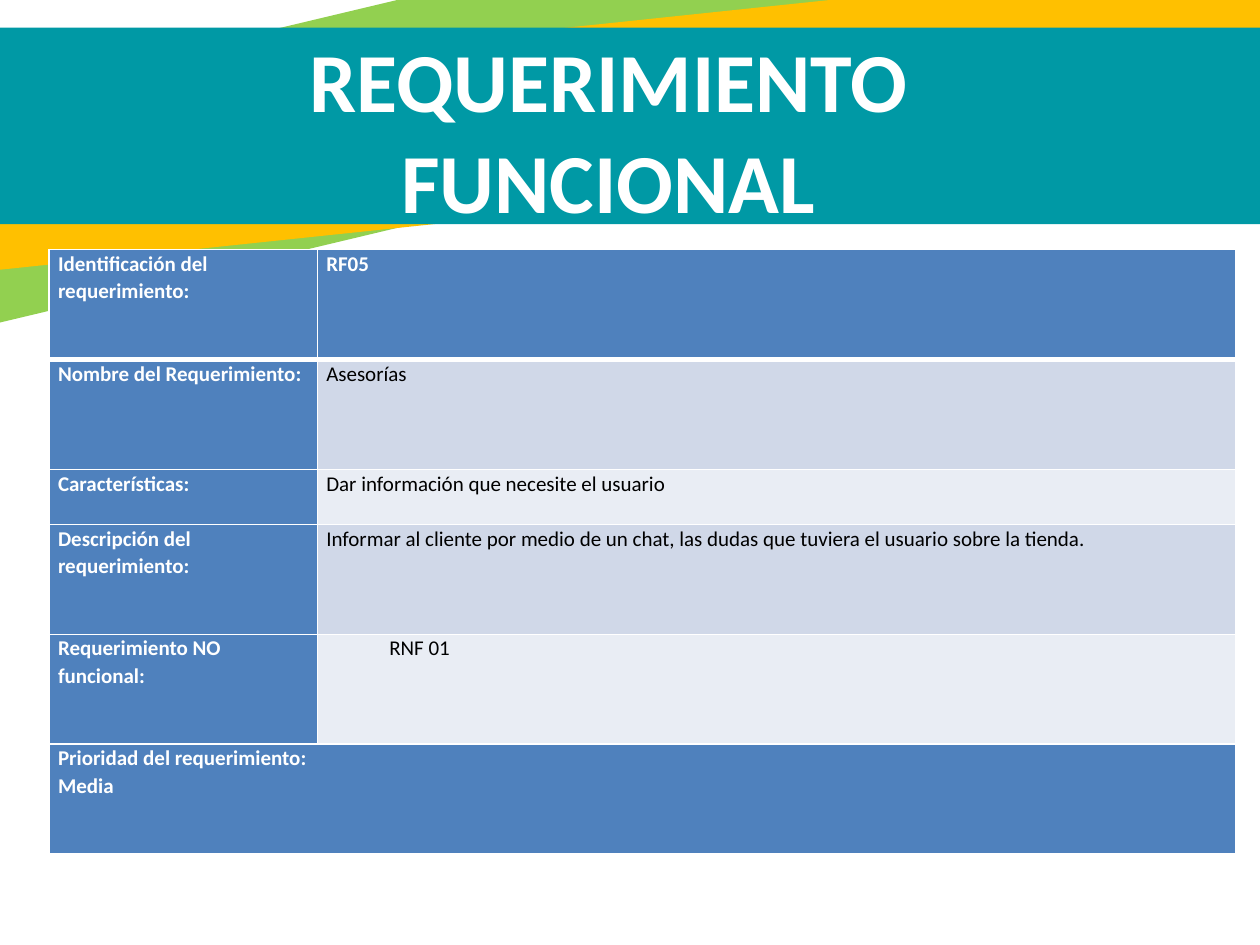
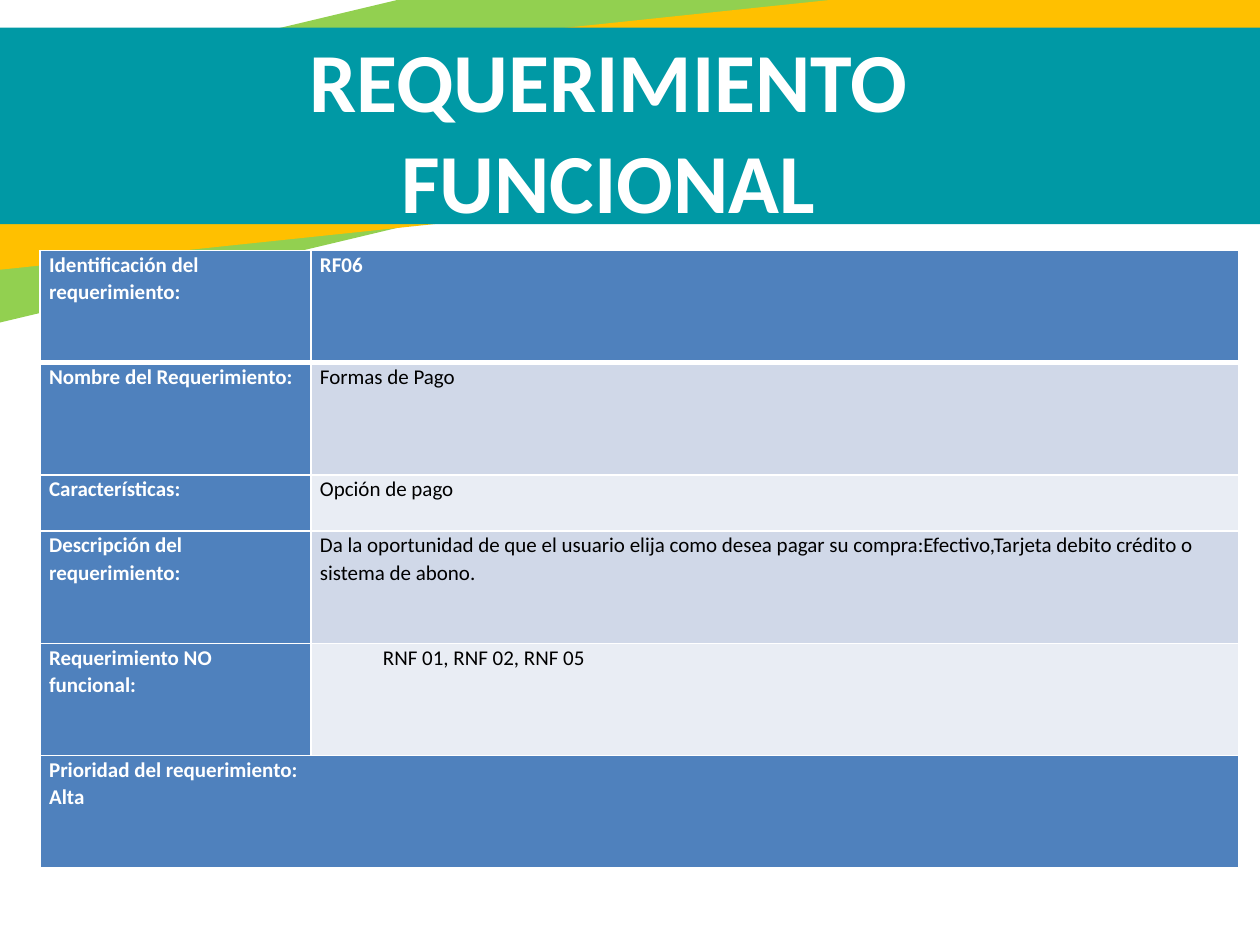
from lxml import etree
from pptx import Presentation
from pptx.dml.color import RGBColor
from pptx.enum.shapes import MSO_SHAPE
from pptx.enum.text import MSO_ANCHOR, PP_ALIGN
from pptx.oxml.ns import qn
from pptx.util import Cm, Pt

RECTANGLE = MSO_SHAPE.RECTANGLE
MIDDLE = MSO_ANCHOR.MIDDLE
CENTER = PP_ALIGN.CENTER

FONT = "Calibri"
WHITE, BLACK = "FFFFFF", "000000"
GREEN, AMBER, TEAL = "92D050", "FFC000", "0099A5"
BLUE, DARK_BAND, LIGHT_BAND = "4F81BD", "D0D8E8", "E9EDF4"

TITLE = "REQUERIMIENTO FUNCIONAL"
TITLE_BOX = (4.39, 1.32, 15.75, 2.59)
BANDS = [
    ((-6.38, -0.46, 33.17, 4.47), 346.6, GREEN),
    ((-2.79, 0.51, 29.54, 3.66), 354, AMBER),
    ((-2.69, 0.56, 29.54, 3.96), 0, TEAL),
]

LABELS = [
    "Identificación del requerimiento:",
    "Nombre del Requerimiento:",
    "Características:",
    "Descripción del requerimiento:",
    "Requerimiento NO funcional:",
    "Prioridad del requerimiento:",
]
ROW_UNITS = [2, 2, 1, 2, 2, 2]
LABEL_SHARE = 0.226
HEADER_ROW, RELATED_ROW, PRIORITY_ROW = 0, 4, 5

REQUIREMENTS = [
    ((0.99, 5.03, 23.93, 12.19), [
        "RF05",
        "Asesorías",
        "Dar información que necesite el usuario",
        "Informar al cliente por medio de un chat, las dudas que tuviera "
        "el usuario sobre la tienda.",
        "RNF 01",
        "Media",
    ]),
    ((0.81, 5.05, 24.16, 12.45), [
        "RF06",
        "Formas de Pago",
        "Opción de pago",
        "Da la oportunidad de que el usuario elija como desea pagar su "
        "compra:Efectivo,Tarjeta debito crédito o sistema de abono.",
        "RNF 01, RNF 02, RNF 05",
        "Alta",
    ]),
]


def color(hex_string):
    return RGBColor.from_string(hex_string)


def style_font(paragraph, size, hex_string, bold):
    font = paragraph.font
    font.name, font.size, font.bold = FONT, Pt(size), bold
    font.color.rgb = color(hex_string)


def add_bands(slide):
    for box, rotation, fill in BANDS:
        band = slide.shapes.add_shape(RECTANGLE, *map(Cm, box))
        band.rotation = rotation
        band.shadow.inherit = False
        band.fill.solid()
        band.fill.fore_color.rgb = color(fill)
        band.line.fill.background()


def add_title(slide, box):
    frame = slide.shapes.add_textbox(*map(Cm, box)).text_frame
    frame.word_wrap = True
    frame.vertical_anchor = MIDDLE
    paragraph = frame.paragraphs[0]
    paragraph.text = TITLE
    paragraph.alignment = CENTER
    style_font(paragraph, 48, WHITE, True)


def add_borders(cell, row):
    top = 3 if row == HEADER_ROW + 1 else 1
    bottom = 3 if row == HEADER_ROW else 1
    properties = cell._tc.get_or_add_tcPr()
    for side, width in (("L", 1), ("R", 1), ("T", top), ("B", bottom)):
        line = etree.SubElement(properties, qn(f"a:ln{side}"), w=str(Pt(width)))
        fill = etree.SubElement(line, qn("a:solidFill"))
        etree.SubElement(fill, qn("a:srgbClr"), val=WHITE)


def fill_cell(cell, row, lines, fill, text_color, bold):
    add_borders(cell, row)
    cell.fill.solid()
    cell.fill.fore_color.rgb = color(fill)
    cell.margin_left = cell.margin_right = Cm(0.18)
    cell.margin_top = cell.margin_bottom = 0
    cell.text_frame.text = "\n".join(lines)
    for paragraph in cell.text_frame.paragraphs:
        paragraph.line_spacing = 1.07
        style_font(paragraph, 12, text_color, bold)


def add_requirement_table(slide, box, values):
    left, top, width, height = box
    table = slide.shapes.add_table(
        len(LABELS), 2, Cm(left), Cm(top), Cm(width), Cm(height)).table
    table.columns[0].width = Cm(width * LABEL_SHARE)
    table.columns[1].width = Cm(width * (1 - LABEL_SHARE))
    for row, (label, value) in enumerate(zip(LABELS, values)):
        table.rows[row].height = Cm(height * ROW_UNITS[row] / sum(ROW_UNITS))
        label_cell, value_cell = table.cell(row, 0), table.cell(row, 1)
        if row == PRIORITY_ROW:
            label_cell.merge(value_cell)
            fill_cell(label_cell, row, [label, value], BLUE, WHITE, True)
            label_cell.text_frame.paragraphs[-1].space_after = Pt(8)
            add_borders(value_cell, row)
            continue
        fill_cell(label_cell, row, [label], BLUE, WHITE, True)
        if row == HEADER_ROW:
            fill_cell(value_cell, row, [value], BLUE, WHITE, True)
        else:
            band = DARK_BAND if row % 2 else LIGHT_BAND
            fill_cell(value_cell, row, [value], band, BLACK, False)
        if row == RELATED_ROW:
            paragraph = value_cell.text_frame.paragraphs[0]
            paragraph._p.get_or_add_pPr().set("marL", str(Cm(1.27)))


def add_requirement_slide(presentation, box, values):
    slide = presentation.slides.add_slide(presentation.slide_layouts[6])
    add_bands(slide)
    add_title(slide, TITLE_BOX)
    add_requirement_table(slide, box, values)


def main():
    presentation = Presentation()
    presentation.slide_width, presentation.slide_height = Cm(25.4), Cm(19.05)
    for box, values in REQUIREMENTS:
        add_requirement_slide(presentation, box, values)
    presentation.save("out.pptx")


if __name__ == "__main__":
    main()
